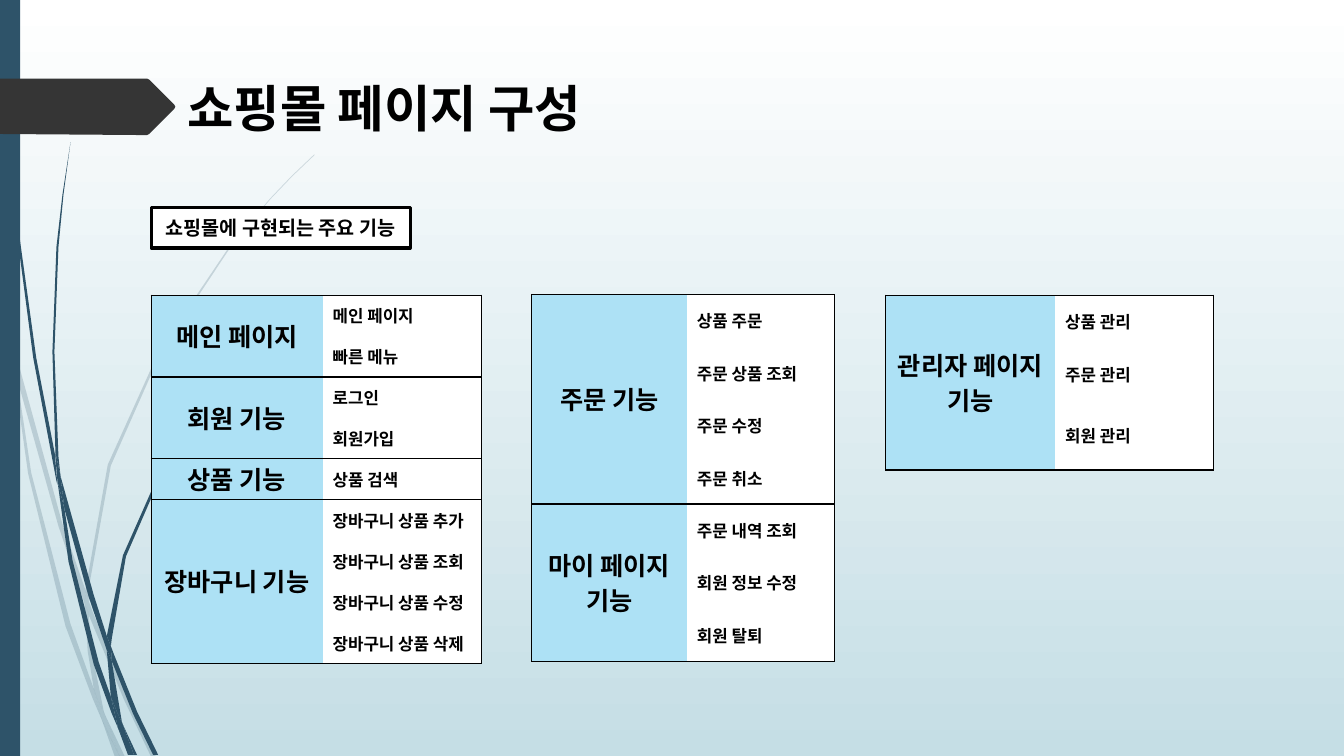
from lxml import etree
from pptx import Presentation
from pptx.dml.color import RGBColor
from pptx.enum import shapes, text
from pptx.oxml import ns
from pptx.util import Cm, Pt

FONT = "Noto Sans CJK KR"
HUES = {"ink": "000000", "paper": "FFFFFF", "label": "ADE1F5",
        "navy": "2E5369", "tag": "353535", "mist": "C5DEE5"}
UNIT = Cm(0.0254)

# Corners of each piece of grass, in UNIT steps
PALE = [
    [(11, 350), (9, 322), (0, 282), (0, 299), (10, 344)],
    [(58, 522), (84, 599), (85, 586), (62, 520), (14, 345), (17, 376)],
    [(92, 607), (88, 596), (88, 610), (123, 694), (150, 751), (155, 751), (127, 692)],
    [(119, 751), (124, 751), (105, 711)],
    [(93, 683), (70, 619), (31, 469), (17, 376), (11, 350), (28, 470), (65, 621),
     (92, 693), (101, 714), (99, 707)],
    [(84, 599), (87, 646), (93, 683), (96, 692), (105, 711), (103, 706), (91, 646),
     (88, 610), (88, 608)],
    [(88, 584), (110, 462), (160, 349), (229, 245), (268, 198), (290, 175), (312, 154),
     (312, 153), (289, 175), (268, 197), (228, 244), (158, 348), (107, 461), (85, 584),
     (85, 586), (88, 596)],
    [(101, 714), (114, 751), (119, 751)],
    [(88, 608), (88, 610), (88, 596), (85, 586), (84, 599)],
    [(96, 692), (93, 683), (99, 707), (101, 714), (119, 751), (105, 711)],
]
DARK = [
    [(7, 110), (17, 233), (33, 355), (56, 477), (57, 481), (55, 457), (55, 453),
     (36, 355), (19, 232), (8, 109), (5, 48), (4, 0), (3, 0), (4, 48)],
    [(88, 592), (106, 645), (106, 631), (93, 590), (60, 472), (64, 505)],
    [(113, 649), (110, 641), (111, 656), (132, 708), (152, 749), (157, 749), (136, 706)],
    [(110, 691), (98, 657), (72, 556), (64, 505), (57, 477), (68, 557), (93, 659),
     (111, 708), (117, 722), (116, 717)],
    [(60, 472), (58, 453), (54, 349), (58, 245), (63, 193), (70, 141), (62, 193),
     (56, 245), (52, 349), (55, 449)],
    [(133, 749), (136, 749), (122, 719)],
    [(57, 477), (64, 505), (60, 472), (55, 449), (55, 453)],
    [(111, 633), (125, 552), (158, 476), (205, 406), (231, 374), (245, 359), (261, 344),
     (260, 344), (245, 358), (231, 373), (204, 405), (156, 474), (122, 551), (106, 631),
     (110, 641)],
    [(117, 722), (127, 749), (131, 749)],
    [(106, 645), (110, 691), (116, 706), (122, 719), (121, 716), (111, 656), (109, 651)],
    [(106, 645), (109, 651), (111, 656), (110, 641), (106, 631)],
    [(116, 706), (110, 691), (116, 717), (117, 722), (130, 749), (133, 749), (122, 719)],
]
ARROW = [(173, 108), (148, 133), (146, 134), (136, 134), (0, 133), (0, 78),
         (146, 78), (148, 79), (173, 104), (174, 106)]

# Left, top, column widths, row heights, then (label lines, features)
TABLES = [
    (3.81, 7.44, (4.32, 4.01), [1.03] * 9, [
        (["메인 페이지"], ["메인 페이지", "빠른 메뉴"]),
        (["회원 기능"], ["로그인", "회원가입"]),
        (["상품 기능"], ["상품 검색"]),
        (["장바구니 기능"], ["장바구니 상품 추가", "장바구니 상품 조회",
                       "장바구니 상품 수정", "장바구니 상품 삭제"])]),
    (13.4, 7.42, (3.91, 3.73), [1.32] * 7, [
        (["주문 기능"], ["상품 주문", "주문 상품 조회", "주문 수정", "주문 취소"]),
        (["마이 페이지", "기능"], ["주문 내역 조회", "회원 정보 수정", "회원 탈퇴"])]),
    (22.32, 7.44, (4.27, 3.99), [1.32, 1.32, 1.73], [
        (["관리자 페이지", "기능"], ["상품 관리", "주문 관리", "회원 관리"])]),
]


def rgb(hue):
    return RGBColor.from_string(HUES[hue])


def paint(fill, hue):
    fill.solid()
    fill.fore_color.rgb = rgb(hue)


def write(frame, lines, size, align, pitch=None):
    for i, line in enumerate(lines):
        para = frame.paragraphs[0] if i == 0 else frame.add_paragraph()
        para.alignment = align
        para.line_spacing = pitch
        run = para.add_run()
        run.text = line
        for key, val in {"name": FONT, "size": Pt(size), "bold": True}.items():
            setattr(run.font, key, val)
        run.font.color.rgb = rgb("ink")
        face = etree.SubElement(run._r.get_or_add_rPr(), ns.qn("a:ea"))
        face.set("typeface", FONT)


def dress(shape, hue):
    shape.shadow.inherit = False
    paint(shape.fill, hue)
    shape.line.fill.background()


def patch(slide, pts, hue, alpha=None):
    """Draw a filled outline, alpha being its opacity in percent."""
    pen = slide.shapes.build_freeform(*pts[0], scale=UNIT)
    pen.add_line_segments(pts[1:], close=True)
    shape = pen.convert_to_shape()
    dress(shape, hue)
    if alpha:
        tone = shape._element.spPr.find(".//" + ns.qn("a:srgbClr"))
        etree.SubElement(tone, ns.qn("a:alpha")).set("val", str(alpha * 1000))


def block(slide, box, hue):
    shape = slide.shapes.add_shape(shapes.MSO_SHAPE.RECTANGLE, *map(Cm, box))
    dress(shape, hue)
    return shape


def rule(cell, sides):
    """Draw the named sides (of L, R, T, B) and clear the others."""
    props = cell._tc.get_or_add_tcPr()
    for side in "LRTB":
        edge = etree.SubElement(props, ns.qn("a:ln" + side), w=str(Pt(1)))
        if side in sides:
            ink = etree.SubElement(edge, ns.qn("a:solidFill"))
            etree.SubElement(ink, ns.qn("a:srgbClr"), val=HUES["ink"])
        else:
            etree.SubElement(edge, ns.qn("a:noFill"))


def grid(slide, left, top, cols, rows, groups):
    size = (left, top, sum(cols), sum(rows))
    table = slide.shapes.add_table(len(rows), len(cols), *map(Cm, size)).table
    table.first_row = table.horz_banding = False
    for col, wide in zip(table.columns, cols):
        col.width = Cm(wide)
    for row, high in zip(table.rows, rows):
        row.height = Cm(high)
    at = 0
    for label, items in groups:
        last = at + len(items) - 1
        for i, item in enumerate(items, at):
            ends = "T" * (i == at) + "B" * (i == last)
            for j, (sides, hue) in enumerate((("LTB", "label"), ("R" + ends, "paper"))):
                cell = table.cell(i, j)
                rule(cell, sides)
                paint(cell.fill, hue)
                cell.vertical_anchor = text.MSO_ANCHOR.MIDDLE
            write(cell.text_frame, [item], 12, text.PP_ALIGN.LEFT)
        head = table.cell(at, 0)
        head.margin_top = head.margin_bottom = 0
        if last > at:
            head.merge(table.cell(last, 0))
        write(head.text_frame, label, 18, text.PP_ALIGN.CENTER, Pt(25))
        at = last + 1


def title(slide, words):
    shape = slide.shapes.title
    place = dict(zip(("left", "top", "width", "height"), map(Cm, (4.47, 1.8, 10.9, 1.8))))
    for key, val in place.items():
        setattr(shape, key, val)
    form = {"word_wrap": False, "auto_size": text.MSO_AUTO_SIZE.NONE,
            "vertical_anchor": text.MSO_ANCHOR.MIDDLE}
    for key, val in form.items():
        setattr(shape.text_frame, key, val)
    write(shape.text_frame, [words], 36, text.PP_ALIGN.LEFT)


def caption(slide, words):
    box = block(slide, (3.81, 5.23, 6.53, 1.02), "paper")
    box.line.color.rgb = rgb("ink")
    box.line.width = Pt(2.25)
    box.text_frame.word_wrap = True
    box.text_frame.vertical_anchor = text.MSO_ANCHOR.MIDDLE
    write(box.text_frame, [words], 14, text.PP_ALIGN.CENTER)


def backdrop(slide):
    fill = slide.background.fill
    fill.gradient()
    fill.gradient_angle = 270
    for stop, hue in zip(fill.gradient_stops, ("paper", "mist")):
        stop.color.rgb = rgb(hue)
    for pts in PALE:
        patch(slide, pts, "navy", alpha=20)
    for pts in DARK:
        patch(slide, pts, "navy")
    block(slide, (0, 0, 0.51, 19.05), "navy")
    patch(slide, ARROW, "tag")


def main():
    deck = Presentation()
    deck.slide_width, deck.slide_height = Cm(33.87), Cm(19.05)
    slide = deck.slides.add_slide(deck.slide_layouts[5])
    backdrop(slide)
    title(slide, "쇼핑몰 페이지 구성")
    caption(slide, "쇼핑몰에 구현되는 주요 기능")
    for table in TABLES:
        grid(slide, *table)
    deck.save("out.pptx")


if __name__ == "__main__":
    main()
